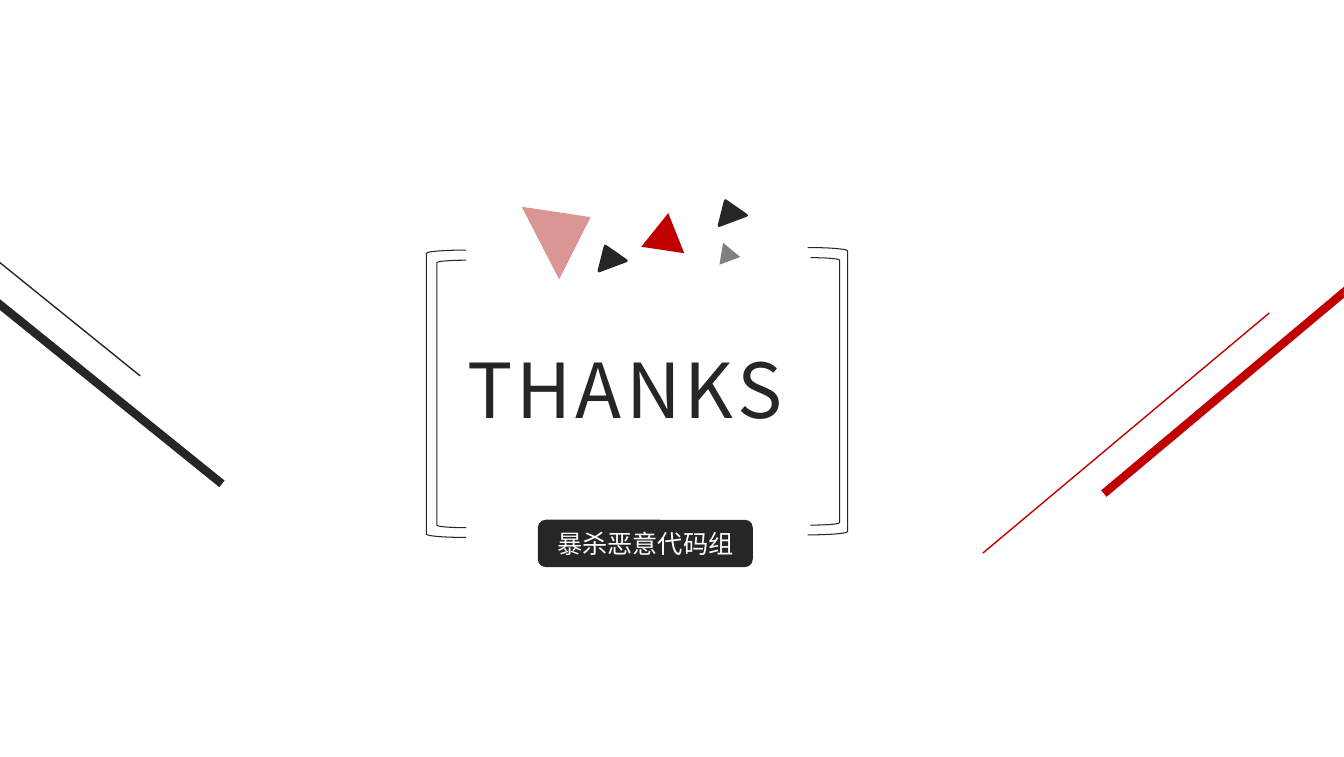
"""Build the closing slide: a bracketed THANKS with triangles and slanted lines."""
from pptx import Presentation
from pptx import util as u
from pptx.dml.color import RGBColor
from pptx.enum import shapes, text
from pptx.oxml.ns import qn
from lxml import etree

HUES = {"dark": "262626", "red": "C00000", "pink": "D99694", "gray": "808080", "white": "FFFFFF"}
KIND = shapes.MSO_SHAPE


def hue(name):
    return RGBColor.from_string(HUES[name])


def write(shape, words, size=18, font="Noto Sans CJK SC", color="dark", align="LEFT", gap=0):
    frame = shape.text_frame
    frame.auto_size = text.MSO_AUTO_SIZE.NONE
    frame.word_wrap = True
    frame.vertical_anchor = text.MSO_ANCHOR.MIDDLE
    frame.margin_left = frame.margin_right = u.Pt(3.6)
    frame.margin_top = frame.margin_bottom = u.Pt(3.6)
    para = frame.paragraphs[0]
    para.alignment = getattr(text.PP_ALIGN, align)
    run = para.add_run()
    run.text = words
    run.font.size = u.Pt(size)
    run.font.name = font
    run.font.color.rgb = hue(color)
    props = run.font._element
    props.set("spc", str(gap * 100))
    etree.SubElement(props, qn("a:ea")).set("typeface", font)


class Deck:
    """Hold the style and the current slide."""

    def __init__(self, width, height):
        self.prs = Presentation()
        self.prs.slide_width = u.Pt(width)
        self.prs.slide_height = u.Pt(height)
        self.slide = self.prs.slides.add_slide(self.prs.slide_layouts[5])

    def title(self, words, box, **style):
        head = self.slide.shapes.title
        head.left, head.top, head.width, head.height = map(u.Pt, box)
        write(head, words, **style)

    def shape(self, kind, box, fill=None, line=None, width=0.75, turn=0):
        item = self.slide.shapes.add_shape(kind, *map(u.Pt, box))
        item.shadow.inherit = False
        item.rotation = turn
        if fill:
            item.fill.solid()
            item.fill.fore_color.rgb = hue(fill)
        else:
            item.fill.background()
        if line:
            item.line.color.rgb = hue(line)
            item.line.width = u.Pt(width)
        else:
            item.line.fill.background()
        return item

    def line(self, ends, color, width):
        item = self.slide.shapes.add_connector(shapes.MSO_CONNECTOR.STRAIGHT, *map(u.Pt, ends))
        item.line.color.rgb = hue(color)
        item.line.width = u.Pt(width)
        etree.SubElement(item._element.spPr, qn("a:effectLst"))


def main():
    deck = Deck(959.04, 540)
    deck.title("THANKS", (329.8, 241, 245.5, 72), size=54, gap=3)

    for box, turn, fill, edge in (
        ((459.4, 151.9, 31, 26.6), 8.5, "red", None),
        ((510.5, 172.8, 15.8, 13.7), 339.5, "gray", None),
        ((424.1, 175, 20.9, 15.1), 339.5, "dark", "dark"),
        ((374.4, 144, 58.3, 40.3), 62.7, "pink", None),
        ((509.8, 142.6, 20.9, 15.1), 339.5, "dark", "dark"),
    ):
        deck.shape(KIND.ISOSCELES_TRIANGLE, box, fill, edge, 2, turn)

    team = deck.shape(KIND.ROUNDED_RECTANGLE, (383.8, 370.8, 153.4, 33.8), "dark")
    write(team, "暴杀恶意代码组", font="Noto Sans CJK JP", color="white", align="CENTER")

    for kind, inner, outer, top in (
        (KIND.LEFT_BRACKET, 311.8, 304.2, 178.4),
        (KIND.RIGHT_BRACKET, 578.2, 576.4, 176.6),
    ):
        deck.shape(kind, (inner, top + 7.2, 20.9, 190.8), line="dark")
        deck.shape(kind, (outer, top, 28.4, 205), line="dark")

    for x, y, wide, high, color, width in (
        (787.7, 352.1, 204.5, -171.4, "red", 6),
        (701.3, 394.6, 204.5, -171.4, "red", 1),
        (-49, 177.8, 207.4, 167.4, "dark", 6),
        (-107.3, 100.8, 207.4, 167.4, "dark", 1),
    ):
        deck.line((x, y, x + wide, y + high), color, width)

    deck.prs.save("out.pptx")


if __name__ == "__main__":
    main()
